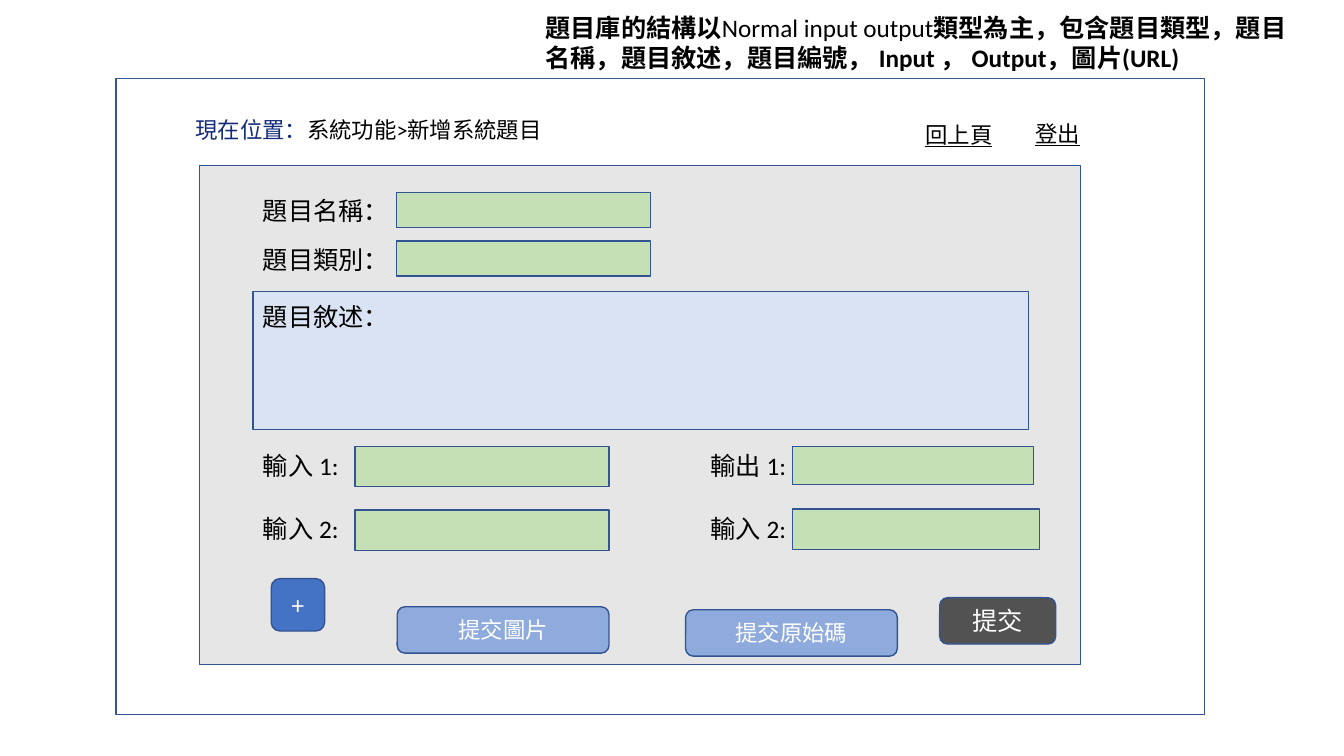
import pptx
import pptx.util
from pptx.dml.color import RGBColor
from pptx.enum.shapes import MSO_SHAPE
from pptx.enum.text import MSO_ANCHOR, MSO_AUTO_SIZE, PP_ALIGN

PX = 9144  # 100 px to the inch


class Theme:
    font = "Calibri"
    body, small = 18, 16
    outline_width = 1
    outline = "325491"
    page = "FFFFFF"
    panel = "E7E6E6"
    description = "DAE3F3"
    field = "C5E0B4"
    add = "4472C4"
    upload = "8FAADC"
    submit = "525252"
    ink = "000000"
    light = "FFFFFF"
    location = "132B79"


def add_box(box, fill, kind=MSO_SHAPE.RECTANGLE):
    shape = slide.shapes.add_shape(kind, *[n * PX for n in box])
    shape.shadow.inherit = False
    shape.fill.solid()
    shape.fill.fore_color.rgb = RGBColor.from_string(fill)
    shape.line.color.rgb = RGBColor.from_string(Theme.outline)
    shape.line.width = pptx.util.Pt(Theme.outline_width)
    return shape


def write(shape, runs, size, align=PP_ALIGN.LEFT, anchor=MSO_ANCHOR.TOP):
    """Fill a shape with runs given as (text, colour, bold, underline)."""
    frame = shape.text_frame
    frame.word_wrap = True
    frame.vertical_anchor = anchor
    paragraph = frame.paragraphs[0]
    paragraph.alignment = align
    for text, colour, bold, underline in runs:
        run = paragraph.add_run()
        run.text = text
        run.font.name = Theme.font
        run.font.size = pptx.util.Pt(size)
        run.font.bold = bold
        run.font.underline = underline
        run.font.color.rgb = RGBColor.from_string(colour)


deck = pptx.Presentation()
deck.slide_width, deck.slide_height = 1333 * PX, 750 * PX
slide = deck.slides.add_slide(deck.slide_layouts[5])

# Heading
heading = slide.shapes.title
heading.left, heading.top, heading.width, heading.height = [
    n * PX for n in (531, 7, 769, 71)]
write(heading, [
    ("題目庫的結構以", Theme.ink, True, False),
    ("Normal input output", Theme.ink, False, False),
    ("類型為主，包含題目類型，題目名稱，題目敘述，題目編號， Input ， Output，圖片(URL)",
     Theme.ink, True, False),
], Theme.body)
heading.text_frame.auto_size = MSO_AUTO_SIZE.NONE

# Page frame, form panel and description area
add_box((115, 78, 1080, 631), Theme.page)
add_box((198, 164, 874, 495), Theme.panel)
add_box((251, 289, 769, 137), Theme.description)

# Input fields
for field in [
    (393, 191, 252, 35), (393, 239, 252, 35),
    (352, 443, 252, 40), (786, 443, 239, 38),
    (352, 506, 252, 40), (786, 505, 245, 40),
]:
    add_box(field, Theme.field)

# Form labels, breadcrumb and page links
labels = [
    ((251, top, 133, 41), [(text, Theme.ink, False, False)], Theme.body, PP_ALIGN.LEFT)
    for top, text in [(189, "題目名稱："), (237, "題目類別："), (294, "題目敘述：")]
]
for top, left_text, right_text in [(442, "輸入 1:", "輸出 1:"), (504, "輸入 2:", "輸入 2:")]:
    for left, width, text in [(251, 95, left_text), (695, 126, right_text)]:
        labels.append(((left, top, width, 40), [(text, Theme.ink, False, False)],
                       Theme.body, PP_ALIGN.LEFT))
labels += [
    ((184, 110, 783, 37), [("現在位置：", Theme.location, False, False),
                           ("系統功能>新增系統題目", Theme.ink, False, False)],
     Theme.small, PP_ALIGN.LEFT),
    ((908, 115, 118, 37), [("回上頁", Theme.ink, False, True)], Theme.small, PP_ALIGN.LEFT),
    ((990, 114, 118, 37), [("登出", Theme.ink, False, True)], Theme.small, PP_ALIGN.CENTER),
]
for box, runs, size, align in labels:
    label = slide.shapes.add_textbox(*[n * PX for n in box])
    write(label, runs, size, align)
    label.text_frame.auto_size = MSO_AUTO_SIZE.SHAPE_TO_FIT_TEXT

# Buttons
for box, text, fill, size in [
    ((269, 574, 53, 52), "+", Theme.add, Theme.body),
    ((394, 602, 210, 46), "提交圖片", Theme.upload, Theme.small),
    ((680, 605, 210, 46), "提交原始碼", Theme.upload, Theme.small),
    ((932, 593, 115, 46), "提交", Theme.submit, Theme.body),
]:
    button = add_box(box, fill, MSO_SHAPE.ROUNDED_RECTANGLE)
    write(button, [(text, Theme.light, False, False)], size,
          PP_ALIGN.CENTER, MSO_ANCHOR.MIDDLE)

deck.save("out.pptx")
